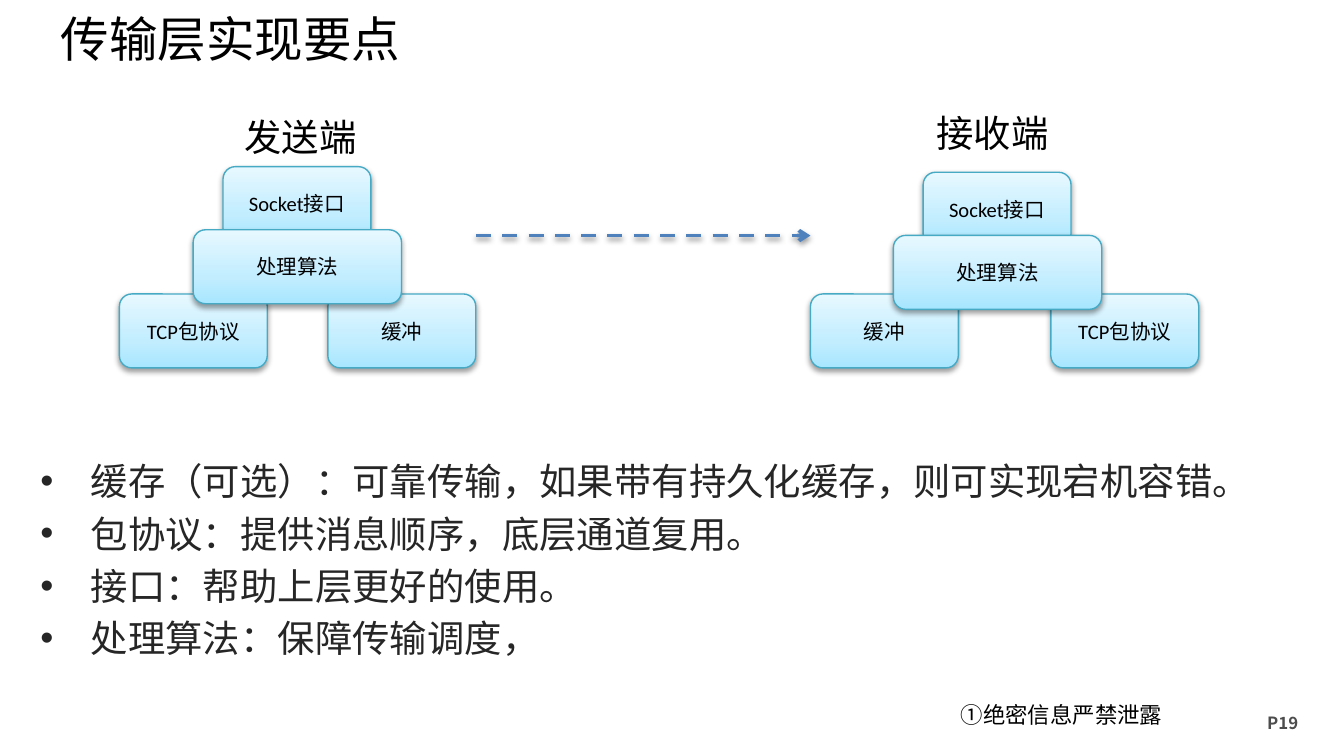
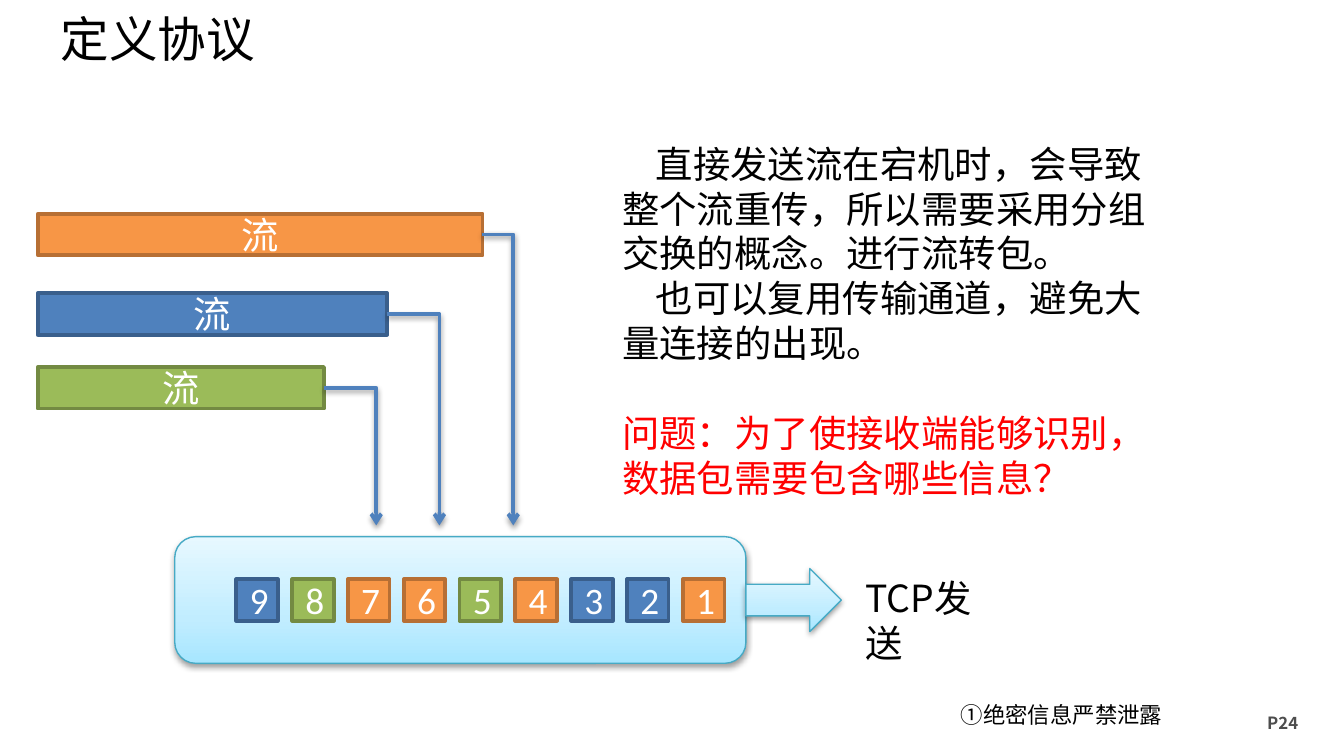
"""Build two slides on transport layer design and protocol definition."""
from copy import deepcopy

from lxml.etree import SubElement
from pptx import Presentation
from pptx.dml.color import RGBColor
from pptx.enum.dml import MSO_LINE
from pptx.enum.shapes import MSO_CONNECTOR, MSO_SHAPE
from pptx.enum.text import MSO_ANCHOR, MSO_AUTO_SIZE, PP_ALIGN
from pptx.oxml.ns import qn
from pptx.util import Pt

COLORS = {
    "text": "000000", "body": "262626", "page": "4D4D4D", "question": "FF0000",
    "white": "FFFFFF", "arrow": "4F81BD", "edge": "46AAC5",
    "orange": "F79646", "orange_edge": "B76F34",
    "blue": "4F81BD", "blue_edge": "3A5F8C",
    "green": "9BBB59", "green_edge": "738A42",
}
GLOSS = [(0, "A7E6FF"), (0.35, "C1EDFF"), (1, "E7F8FF")]
CJK, LATIN = "Noto Sans CJK SC", "Calibri"


def write(frame, text, size, color="text", font=CJK, align=PP_ALIGN.LEFT, bold=False):
    frame.text = text
    for paragraph in frame.paragraphs:
        paragraph.alignment = align
        for run in paragraph.runs:
            run.font.size = Pt(size)
            run.font.bold = bold
            run.font.name = font
            run.font.color.rgb = RGBColor.from_string(COLORS[color])
            SubElement(run.font._element, qn("a:ea")).set("typeface", CJK)


def add_label(slide, text, box, size, wrap=False, **style):
    frame = slide.shapes.add_textbox(*map(Pt, box)).text_frame
    frame.word_wrap = wrap
    write(frame, text, size, **style)
    return frame


prs = Presentation()
prs.slide_width, prs.slide_height = Pt(720), Pt(405)
overview = prs.slides.add_slide(prs.slide_layouts[1])
protocol = prs.slides.add_slide(prs.slide_layouts[5])

for slide, heading, page in [(overview, "传输层实现要点", "P19"), (protocol, "定义协议", "P24")]:
    title = slide.shapes.title
    title.left, title.top, title.width, title.height = Pt(25.2), Pt(0), Pt(561.6), Pt(41)
    title.text_frame.auto_size = MSO_AUTO_SIZE.NONE
    title.text_frame.vertical_anchor = MSO_ANCHOR.MIDDLE
    write(title.text_frame, heading, 26)
    add_label(slide, page, (671.8, 378, 40.3, 18), 9, wrap=True, color="page", bold=True)
    add_label(slide, "①绝密信息严禁泄露", (507.6, 372.2, 123.8, 21.6), 12)

points = overview.placeholders[1]
points.left, points.top, points.width, points.height = Pt(14.4), Pt(242), Pt(692), Pt(153.4)
points.text_frame.auto_size = MSO_AUTO_SIZE.NONE
write(points.text_frame, "\n".join([
    "缓存（可选）：可靠传输，如果带有持久化缓存，则可实现宕机容错。",
    "包协议：提供消息顺序，底层通道复用。",
    "接口：帮助上层更好的使用。",
    "处理算法：保障传输调度，",
]), 20, "body")
for index, point in enumerate(points.text_frame.paragraphs):
    point.space_before = Pt(4 if index else 0)
    layout = point._p.get_or_add_pPr()
    layout.set("marL", str(Pt(27)))
    layout.set("indent", str(Pt(-27)))
    SubElement(layout, qn("a:buChar")).set("char", "•")

glossy, arrows = [], []

for side, side_left, side_top, socket_left, socket_top, buffer_left, tcp_left in [
    ("发送端", 123.8, 57.6, 119.5, 89.3, 175.7, 64),
    ("接收端", 494.6, 55.4, 494.6, 92.3, 434.2, 563),
]:
    add_label(overview, side, (side_left, side_top, 75, 31.7), 20)
    for part, left, top, width in [
        ("缓冲", buffer_left, 157.5, 79.2),
        ("Socket接口", socket_left, socket_top, 79.2),
        ("TCP包协议", tcp_left, 157.5, 79.2),
        ("处理算法", socket_left - 16, socket_top + 33.8, 111.6),
    ]:
        block = overview.shapes.add_shape(
            MSO_SHAPE.ROUNDED_RECTANGLE, Pt(left), Pt(top), Pt(width), Pt(39.6))
        block.text_frame.vertical_anchor = MSO_ANCHOR.MIDDLE
        write(block.text_frame, part, 11, font=LATIN, align=PP_ALIGN.CENTER)
        glossy.append(block)

transfer = overview.shapes.add_connector(
    MSO_CONNECTOR.STRAIGHT, Pt(255), Pt(126.2), Pt(434.2), Pt(126.2))
transfer.line.dash_style = MSO_LINE.DASH
arrows.append(transfer)

channel = protocol.shapes.add_shape(
    MSO_SHAPE.ROUNDED_RECTANGLE, Pt(93.6), Pt(287.5), Pt(306), Pt(67.9))
output = protocol.shapes.add_shape(
    MSO_SHAPE.RIGHT_ARROW, Pt(399.6), Pt(304.6), Pt(51.1), Pt(33.8))
glossy += [channel, output]

streams = [("orange", 114.5, 238.3, 275), ("blue", 157, 187.2, 235.4), ("green", 196.6, 153.4, 201.6)]
bars = [("流", color, 20.2, top, width) for color, top, width, _ in streams]
packets = ["orange", "blue", "blue", "orange", "green", "orange", "orange", "green", "blue"]
bars += [(str(index + 1), color, 365.8 - 29.9 * index, 310.3, 22.3)
         for index, color in enumerate(packets)]
for text, color, left, top, width in bars:
    bar = protocol.shapes.add_shape(MSO_SHAPE.RECTANGLE, Pt(left), Pt(top), Pt(width), Pt(22.3))
    bar.shadow.inherit = False
    bar.fill.solid()
    bar.fill.fore_color.rgb = RGBColor.from_string(COLORS[color])
    bar.line.color.rgb = RGBColor.from_string(COLORS[color + "_edge"])
    bar.line.width = Pt(2)
    bar.text_frame.vertical_anchor = MSO_ANCHOR.MIDDLE
    write(bar.text_frame, text, 20, "white", LATIN, PP_ALIGN.CENTER)

for _, top, width, entry in streams:
    route = protocol.shapes.add_connector(
        MSO_CONNECTOR.ELBOW, Pt(20.2 + width), Pt(top + 11.15), Pt(entry), Pt(281.5))
    route.element.spPr.find(qn("a:prstGeom")).set("prst", "bentConnector2")
    arrows.append(route)

explanation = add_label(protocol, "\n".join([
    "直接发送流在宕机时，会导致整个流重传，所以需要采用分组交换的概念。进行流转包。",
    "也可以复用传输通道，避免大量连接的出现。",
    "问题：为了使接收端能够识别，数据包需要包含哪些信息？",
]), (326.2, 72, 295, 200.9), 20, wrap=True)
*reasons, question = explanation.paragraphs
for reason in reasons:
    reason._p.get_or_add_pPr().set("indent", str(Pt(18)))
question.space_before = Pt(24)
question.runs[0].font.color.rgb = RGBColor.from_string(COLORS["question"])
add_label(protocol, "TCP发送", (456.5, 304.6, 85, 31.7), 20, wrap=True)

for block in glossy:
    block.fill.gradient()
    block.fill.gradient_angle = 90
    stops = block.element.spPr.find(qn("a:gradFill")).find(qn("a:gsLst"))
    stops.insert(1, deepcopy(stops[0]))
    for stop, (position, color) in zip(block.fill.gradient_stops, GLOSS):
        stop.position = position
        stop.color.rgb = RGBColor.from_string(color)
    block.line.color.rgb = RGBColor.from_string(COLORS["edge"])
    block.line.width = Pt(0.75)

for arrow in arrows:
    arrow.line.color.rgb = RGBColor.from_string(COLORS["arrow"])
    arrow.line.width = Pt(2)
    SubElement(arrow.element.spPr.find(qn("a:ln")), qn("a:tailEnd")).set("type", "arrow")

for raised in glossy + arrows:
    effects = SubElement(raised.element.spPr, qn("a:effectLst"))
    shadow = SubElement(effects, qn("a:outerShdw"), blurRad=str(Pt(3.1)), dist=str(Pt(1.6)),
                        dir="5400000", rotWithShape="0")
    tint = SubElement(shadow, qn("a:srgbClr"), val=COLORS["text"])
    SubElement(tint, qn("a:alpha"), val="38000")

prs.save("out.pptx")
